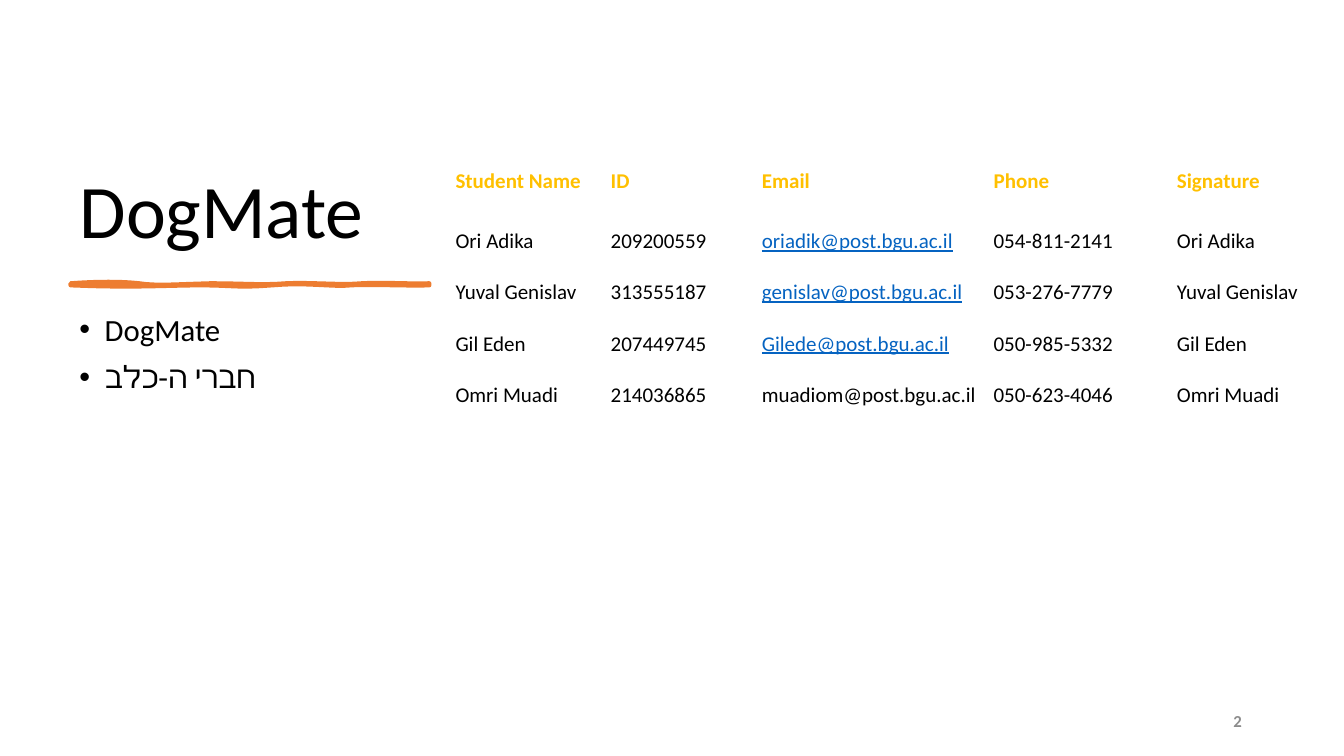
from lxml import etree
from pptx import Presentation
from pptx.dml.color import RGBColor
from pptx.enum.text import MSO_ANCHOR, PP_ALIGN
from pptx.oxml.ns import qn
from pptx.util import Cm, Pt

BOTTOM, MIDDLE = MSO_ANCHOR.BOTTOM, MSO_ANCHOR.MIDDLE
LEFT, RIGHT = PP_ALIGN.LEFT, PP_ALIGN.RIGHT
FONT = "Calibri"
COLORS = {"text": "000000", "accent": "ED7D31", "header": "FFC000",
          "link": "0563C1", "number": "8C8C8C", "cell": "FFFFFF"}

TITLE = "DogMate"
BULLETS = ["DogMate", "חברי ה-כלב"]
PAGE_NUMBER = "2"
HEADERS = ["Student Name", "ID", "Email", "Phone", "Signature"]
STUDENTS = [
    ("Ori Adika", "209200559", "oriadik@post.bgu.ac.il", "054-811-2141", "Ori Adika"),
    ("Yuval Genislav", "313555187", "genislav@post.bgu.ac.il", "053-276-7779", "Yuval Genislav"),
    ("Gil Eden", "207449745", "Gilede@post.bgu.ac.il", "050-985-5332", "Gil Eden"),
    ("Omri Muadi", "214036865", "muadiom@post.bgu.ac.il", "050-623-4046", "Omri Muadi"),
]
LINKED = {student[2] for student in STUDENTS[:3]}
COLUMN_WIDTHS = [3.91, 3.81, 5.84, 4.62, 3.91]
ROW_HEIGHTS = [1.52, 7.14, 1.04, 1.04]

STROKE_TOP = [
    (1.78, 7.14), (2.46, 7.09), (3.07, 7.09), (3.51, 7.14),
    (3.94, 7.21), (4.5, 7.16), (5.31, 7.14), (6.12, 7.14), (6.6, 7.19), (7.21, 7.14),
    (7.82, 7.11), (8.61, 7.19), (9.12, 7.14), (9.63, 7.11), (10.46, 7.16), (10.82, 7.14),
]
STROKE_BOTTOM = [
    (10.82, 7.19), (10.36, 7.21), (9.25, 7.16), (8.84, 7.19),
    (8.43, 7.24), (7.72, 7.11), (6.86, 7.19), (5.97, 7.26), (5.87, 7.19), (5.05, 7.19),
    (4.22, 7.19), (3.38, 7.26), (1.78, 7.19),
]


def color(name):
    return RGBColor.from_string(COLORS[name])


def style(para, size, name="text", bold=False):
    font = para.font
    font.name, font.size, font.bold = FONT, Pt(size), bold
    font.color.rgb = color(name)


def place(shape, left, top, width, height):
    shape.left, shape.top = Cm(left), Cm(top)
    shape.width, shape.height = Cm(width), Cm(height)


def add_box(left, top, width, height):
    box = page.shapes.add_textbox(Cm(left), Cm(top), Cm(width), Cm(height))
    box.text_frame.word_wrap = True
    return box.text_frame


def add_bullet(para):
    props = para._p.get_or_add_pPr()
    props.set("marL", str(Cm(0.64)))
    props.set("indent", str(-Cm(0.64)))
    etree.SubElement(props, qn("a:buFont")).set("typeface", "Arial")
    etree.SubElement(props, qn("a:buChar")).set("char", "•")


def curve(points, steps=8):
    result = [points[0]]
    for start in range(0, len(points) - 1, 3):
        knots = points[start:start + 4]
        for step in range(1, steps + 1):
            t = step / steps
            weights = ((1 - t) ** 3, 3 * t * (1 - t) ** 2, 3 * t * t * (1 - t), t ** 3)
            result.append(tuple(sum(w * knot[axis] for w, knot in zip(weights, knots))
                                for axis in (0, 1)))
    return result


deck = Presentation()
deck.slide_width, deck.slide_height = Cm(33.87), Cm(19.05)
page = deck.slides.add_slide(deck.slide_layouts[5])

title = page.shapes.title
place(title, 1.75, 1.78, 9.53, 4.78)
title.text_frame.text = TITLE
title.text_frame.word_wrap = True
title.text_frame.vertical_anchor = BOTTOM
heading = title.text_frame.paragraphs[0]
heading.alignment, heading.line_spacing = LEFT, 0.9
style(heading, 54)

outline = [(Cm(x), Cm(y)) for x, y in curve(STROKE_TOP) + curve(STROKE_BOTTOM)]
builder = page.shapes.build_freeform(*outline[0])
builder.add_line_segments(outline[1:], close=True)
stroke = builder.convert_to_shape()
stroke.shadow.inherit = False
stroke.fill.solid()
stroke.fill.fore_color.rgb = color("accent")
stroke.line.color.rgb = color("accent")
stroke.line.width = Pt(3)

body = add_box(1.75, 7.8, 9.53, 9.47)
for index, text in enumerate(BULLETS):
    para = body.add_paragraph() if index else body.paragraphs[0]
    para.text = text
    para.line_spacing = 0.9
    para.space_before = Pt(10 if index else 0)
    add_bullet(para)
    style(para, 22)

footer = add_box(23.93, 17.65, 7.62, 1.02)
footer.vertical_anchor = MIDDLE
footer.text = PAGE_NUMBER
number = footer.paragraphs[0]
number.alignment = RIGHT
style(number, 12, "number", True)

table = page.shapes.add_table(
    len(ROW_HEIGHTS), len(HEADERS), Cm(11.28), Cm(4.14),
    Cm(sum(COLUMN_WIDTHS)), Cm(sum(ROW_HEIGHTS))).table
table.horz_banding = False
for column, width in zip(table.columns, COLUMN_WIDTHS):
    column.width = Cm(width)
for row, height in zip(table.rows, ROW_HEIGHTS):
    row.height = Cm(height)
for cell in table.iter_cells():
    cell.fill.solid()
    cell.fill.fore_color.rgb = color("cell")
    cell.margin_left = cell.margin_right = Cm(0.2)
    cell.margin_top = cell.margin_bottom = Cm(0.1)

for index, (header, values) in enumerate(zip(HEADERS, zip(*STUDENTS))):
    head = table.cell(0, index)
    head.text = header
    style(head.text_frame.paragraphs[0], 15, "header", True)
    frame = table.cell(1, index).text_frame
    for line, value in enumerate(values):
        para = frame.add_paragraph() if line else frame.paragraphs[0]
        para.text = value
        para.space_before = Pt(18.3 if line else 0)
        linked = value in LINKED
        style(para, 15, "link" if linked else "text")
        para.font.underline = linked

deck.save("out.pptx")
